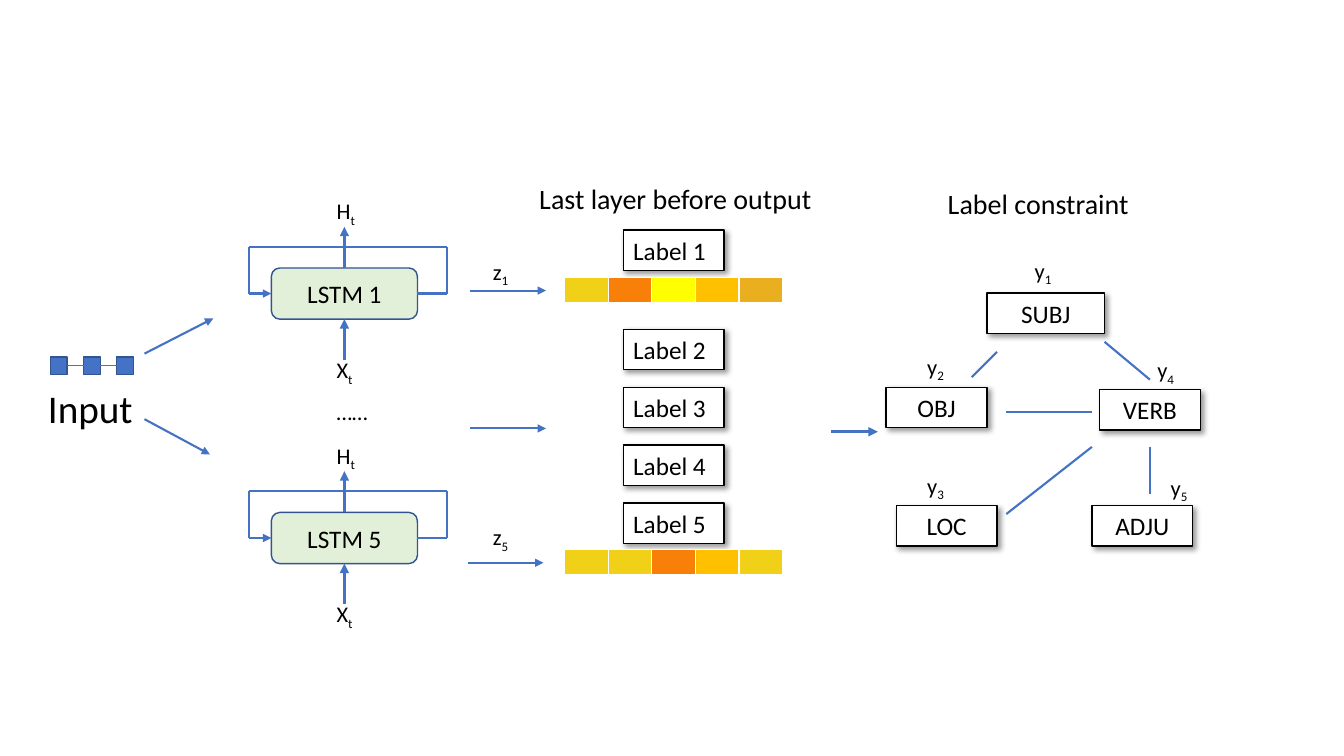
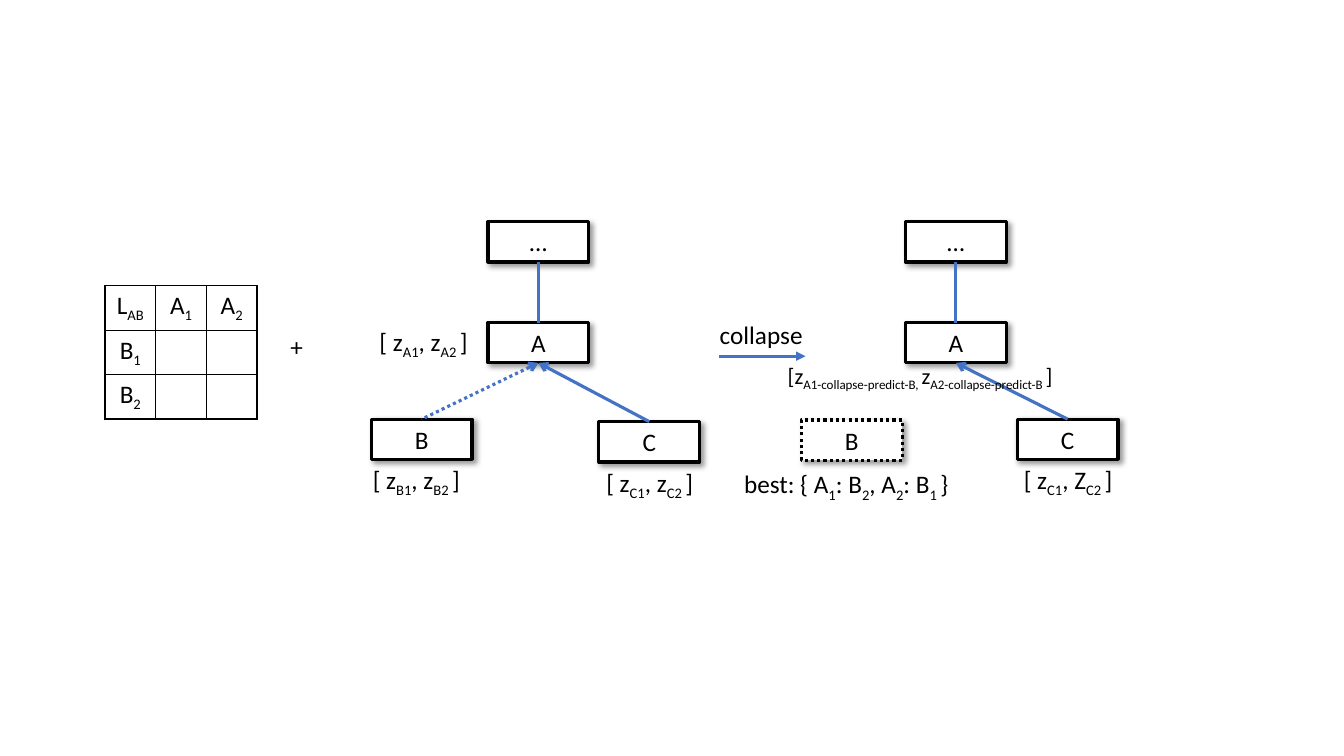
from lxml.etree import SubElement
from pptx import Presentation
from pptx.dml.color import RGBColor
from pptx.enum.dml import MSO_LINE as Dash
from pptx.enum.shapes import MSO_CONNECTOR as Link, MSO_SHAPE as Kind
from pptx.enum.text import MSO_ANCHOR as Anchor, PP_ALIGN as Align
from pptx.oxml.ns import qn
from pptx.util import Inches, Pt

BLUE = RGBColor(0x44, 0x72, 0xC4)
NAVY = RGBColor(0x32, 0x54, 0x91)
MINT = RGBColor(0xE2, 0xF0, 0xD9)
BLACK = RGBColor(0, 0, 0)
WHITE = RGBColor(255, 255, 255)
LEMON = RGBColor(0xF0, 0xD1, 0x18)
FLAME = RGBColor(0xF8, 0x80, 0x08)
SUN = RGBColor(0xFF, 0xFF, 0)
GOLD = RGBColor(0xFF, 0xC0, 0)
HONEY = RGBColor(0xE9, 0xAF, 0x1F)
FONT = "Calibri"
TOP, LEFT, BOTTOM, RIGHT = range(4)

# The slide is a grid of 160 columns and 90 rows of square units.
deck = Presentation()
deck.slide_width, deck.slide_height = Inches(160 / 12), Inches(7.5)
UNIT = deck.slide_width // 160


def write(text, page=None, at=None, cell=None, kind=None, size=18, align=Align.LEFT,
          fill=None, edge=None, weight=1, dash=None, drop=False, mid=False, pad=0.05):
    """Put text in a cell, a preset shape or a text box; _x_ marks a subscript."""
    if cell is not None:
        host = cell
    else:
        area = [round(n * UNIT) for n in at]
        if kind is None:
            host = page.shapes.add_textbox(*area)
        else:
            host = page.shapes.add_shape(kind, *area)
            host.shadow.inherit = False
        frame = host.text_frame
        frame.word_wrap = True
        frame.vertical_anchor = Anchor.MIDDLE if mid else Anchor.TOP
        frame.margin_top = frame.margin_bottom = Inches(pad)
    if fill is not None:
        host.fill.solid()
        host.fill.fore_color.rgb = fill
    if edge is not None:
        host.line.color.rgb = edge
        host.line.width = Pt(weight)
        if dash:
            host.line.dash_style = dash
    if drop:
        glow = host._element.spPr.find(qn("a:effectLst"))
        cast = SubElement(glow, qn("a:outerShdw"), blurRad="50800", dist="38100",
                          dir="2700000", algn="tl", rotWithShape="0")
        tone = SubElement(cast, qn("a:srgbClr"), val=str(BLACK))
        SubElement(tone, qn("a:alpha"), val="40000")
    para = host.text_frame.paragraphs[0]
    para.alignment = align
    for n, part in enumerate(text.split("_")):
        if part:
            run = para.add_run()
            run.text = part
            run.font.size, run.font.name = Pt(size), FONT
            run.font.color.rgb = BLACK
            if n % 2:
                run._r.get_or_add_rPr().set("baseline", "-25000")
    if not text:
        SubElement(para._p, qn("a:endParaRPr"), sz=str(size * 100))
    return host


def wire(page, start, stop, weight=1.5, head=None, tail=None, dash=None):
    """Draw a line between ends that are points or (shape, side) pairs."""
    free = [isinstance(end[0], (int, float)) for end in (start, stop)]
    dots = [end if loose else (0, 0) for end, loose in zip((start, stop), free)]
    line = page.shapes.add_connector(
        Link.STRAIGHT, *[round(n * UNIT) for dot in dots for n in dot])
    joins = line.begin_connect, line.end_connect
    for end, loose, join in zip((start, stop), free, joins):
        if not loose:
            join(*end)
    line.line.color.rgb = BLUE
    line.line.width = Pt(weight)
    if dash:
        line.line.dash_style = dash
    props = line._element.spPr
    for tag, tip in (("a:headEnd", head), ("a:tailEnd", tail)):
        if tip:
            SubElement(props.find(qn("a:ln")), qn(tag), type=tip)
    SubElement(props, qn("a:effectLst"))


model, merge = [deck.slides.add_slide(deck.slide_layouts[6]) for _ in range(2)]
card = dict(kind=Kind.RECTANGLE, fill=WHITE, edge=BLACK, drop=True)
node = dict(card, align=Align.CENTER)
bold = dict(node, weight=2.25)
head = dict(align=Align.CENTER, pad=0)

# Input chain
chain = [write("", model, (6 + 3.95 * n, 42.5, 2, 2.1), kind=Kind.RECTANGLE,
               fill=BLUE, edge=NAVY) for n in range(3)]
for prev, item in zip(chain, chain[1:]):
    wire(model, (item, LEFT), (prev, RIGHT), weight=0.5)
write("Input", model, (2.9, 45.7, 15.7, 5.6), size=28, **head)

# Recurrent units with their loops
for name, y in (("LSTM 1", 31.9), ("LSTM 5", 61)):
    unit = write(name, model, (32.3, y, 17.4, 6.1), kind=Kind.ROUNDED_RECTANGLE,
                 fill=MINT, edge=NAVY, align=Align.CENTER, mid=True)
    wire(model, (unit, TOP), (41, y - 4.9), 2.25, tail="triangle")
    wire(model, (41, y + 10.9), (unit, BOTTOM), 2.25, tail="triangle")
    write("X_t_", model, (38.9, y + 9.9, 6.2, 4.4), size=16)
    write("H_t_", model, (38.9, y - 9, 6.2, 4.4), size=16)
    roof, axis = y - 2.5, y + 3.05
    loop = [(unit, RIGHT), (53.2, axis), (53.2, roof), (29.6, roof), (29.6, axis)]
    for start, stop in zip(loop, loop[1:]):
        wire(model, start, stop)
    wire(model, loop[-1], (unit, LEFT), tail="triangle")
write("……", model, (38.9, 46.8, 6.2, 4.4), size=16)

# Labels and constraint nodes
write("Last layer before output", model, (61.8, 21.6, 37.2, 4.1), size=20, **head)
write("Label constraint", model, (105, 22.2, 37.2, 4.1), size=20, **head)
for n, y in enumerate([27.4] + [39.2 + 6.9 * k for k in range(4)], 1):
    write(f"Label {n}", model, (74.2, y, 12, 4.8), **card)
for name, x, y, wide in (("SUBJ", 117.5, 34.9, 14), ("OBJ", 105.5, 46.1, 12),
                         ("LOC", 106.7, 60.2, 12), ("VERB", 130.9, 46.4, 12),
                         ("ADJU", 130, 60.2, 12)):
    write(name, model, (x, y, wide, 4.8), **node)
for name, x, y in (("z_1_", 57.5, 30.1), ("z_5_", 57.5, 61.7), ("y_1_", 122, 30),
                   ("y_2_", 109.2, 41.4), ("y_3_", 109.2, 55.6),
                   ("y_4_", 136.6, 41.8), ("y_5_", 138.2, 55.8)):
    write(name, model, (x, y, 5.5, 4.4), size=16)

for start, stop in (((17.2, 42.1), (25.4, 37.9)), ((17.2, 49.9), (25, 54.1)),
                    ((56, 34.6), (65, 34.6)), ((56, 51), (65, 51)),
                    ((55.7, 67), (64.7, 67))):
    wire(model, start, stop, tail="triangle")
wire(model, (98.9, 51.4), (104.5, 51.4), 2.25, tail="triangle")
for start, stop in (((118.7, 41.9), (115.7, 44.9)), ((130, 49.1), (119.8, 49.1)),
                    ((130, 53.2), (119.8, 61.2)), ((136.9, 53.2), (136.9, 58.8)),
                    ((131.5, 40.7), (136.9, 45.2))):
    wire(model, start, stop)

# Trees before and after the collapse
for x, cx, cy in ((58.1, 71.3, 50.2), (107.8, 121.1, 49.9)):
    root = write("…", merge, (x, 26.4, 12, 4.8), **bold)
    stem = write("A", merge, (x, 38.4, 12, 4.8), **bold)
    leaf = write("C", merge, (cx, cy, 12, 4.8), **bold)
    wire(merge, (root, BOTTOM), (stem, TOP), 2.25)
    wire(merge, (stem, BOTTOM), (leaf, TOP), 2.25, head="arrow")
    if x < 80:
        twin = write("B", merge, (44.2, 49.9, 12, 4.8), **bold)
        wire(merge, (stem, BOTTOM), (twin, TOP), 2.25, head="arrow", dash=Dash.ROUND_DOT)
write("B", merge, (95.4, 50, 12, 4.8), dash=Dash.ROUND_DOT, **bold)
wire(merge, (85.6, 42.4), (95.9, 42.4), 2.25, tail="triangle")

for text, x, y, wide, size in (
        ("[ z_A1_, z_A2 _]", 44, 38.2, 15.8, 18),
        ("[ z_B1_, z_B2 _]", 43.2, 54.7, 15.8, 18),
        ("[ z_C1_, z_C2 _]", 71, 55, 15, 18),
        ("[ z_C1_, Z_C2 _]", 120.7, 54.7, 15, 18),
        ("+", 33.4, 38.8, 3.8, 18),
        ("collapse", 84.5, 37.4, 13.3, 18),
        ("best: { A_1_: B_2_, A_2_: B_1 _}", 87.4, 55.2, 30, 18),
        ("[z_A1-collapse-predict-B, _z_A2-collapse-predict-B _]", 92.6, 42.5, 44.8, 16)):
    write(text, merge, (x, y, wide, 4.8), size=size)

# Tables: a cell holds either a colour or a text
for page, area, size, edge, base, rows in (
        (model, (67.2, 33, 26, 3.2), 8, WHITE, 3, [[LEMON, FLAME, SUN, GOLD, HONEY]]),
        (model, (67.2, 65.4, 26, 3.2), 8, WHITE, 3, [[LEMON, LEMON, FLAME, GOLD, LEMON]]),
        (merge, (12.5, 34, 18.1, 14.4), 18, BLACK, 1,
         [["L_AB_", "A_1_", "A_2_"], ["B_1_", "", ""], ["B_2_", "", ""]])):
    grid = page.shapes.add_table(
        len(rows), len(rows[0]), *[round(n * UNIT) for n in area]).table
    grid.first_row = grid.horz_banding = False
    for r, row in enumerate(rows):
        for c, item in enumerate(row):
            tint = isinstance(item, RGBColor)
            cell = write("" if tint else item, cell=grid.cell(r, c), size=size,
                         align=Align.CENTER, fill=item if tint else WHITE)
            props = cell._tc.get_or_add_tcPr()
            for n, side in enumerate("LRTB"):
                rule = SubElement(props, qn(f"a:ln{side}"),
                                  w=str(Pt(base if side == "B" else 1)))
                ink = SubElement(rule, qn("a:solidFill"))
                SubElement(ink, qn("a:srgbClr"), val=str(edge))
                props.insert(n, rule)

deck.save("out.pptx")
